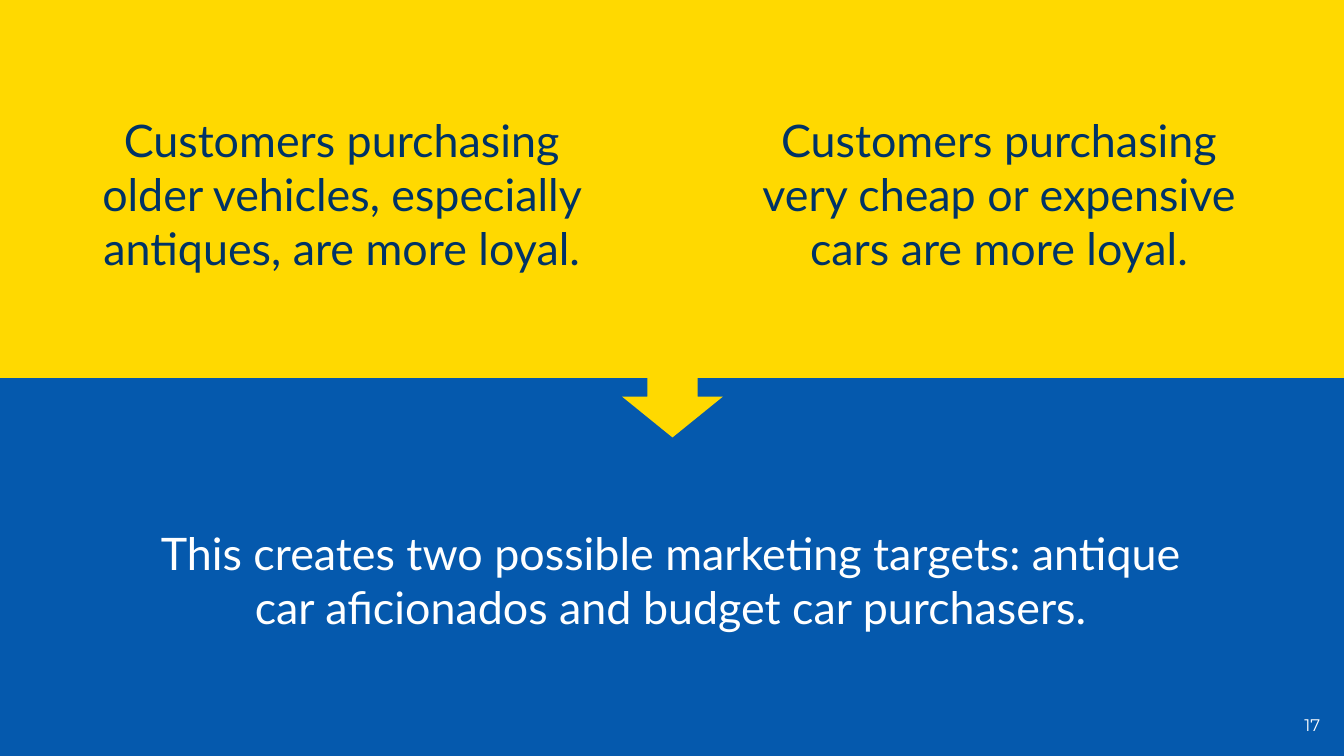
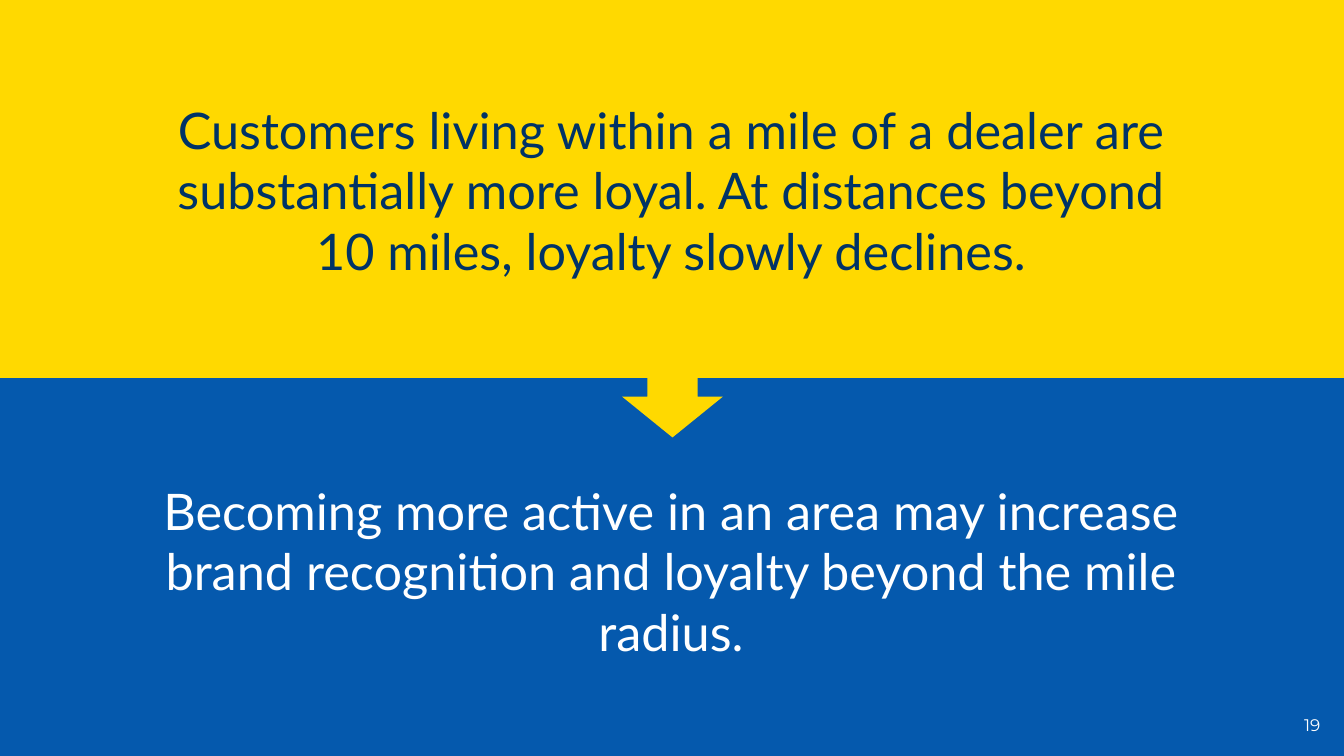
"""Build two slides that lead from customer findings to a marketing conclusion."""
from dataclasses import dataclass

from pptx import Presentation
from pptx.dml.color import RGBColor
from pptx.enum.shapes import MSO_SHAPE
from pptx.enum.text import MSO_ANCHOR, PP_ALIGN
from pptx.slide import Slide
from pptx.util import Inches, Pt


@dataclass(frozen=True)
class Theme:
    yellow: RGBColor = RGBColor(0xFF, 0xD9, 0x00)
    blue: RGBColor = RGBColor(0x05, 0x59, 0xAD)
    navy: RGBColor = RGBColor(0x00, 0x33, 0x66)
    white: RGBColor = RGBColor(0xFF, 0xFF, 0xFF)
    body_font: str = "Lato"
    number_font: str = "Montserrat"
    body_size: int = 32
    large_size: int = 36
    number_size: int = 12


@dataclass(frozen=True)
class Box:
    left: float
    top: float
    width: float
    height: float

    def lengths(self) -> tuple[Inches, Inches, Inches, Inches]:
        return Inches(self.left), Inches(self.top), Inches(self.width), Inches(self.height)


@dataclass(frozen=True)
class Statement:
    text: str
    box: Box
    color: RGBColor


@dataclass(frozen=True)
class Page:
    number: int
    size: int
    statements: tuple[Statement, ...]


THEME = Theme()
SLIDE_WIDTH, SLIDE_HEIGHT = 13.33, 7.5
BAND_HEIGHT = SLIDE_HEIGHT / 2
TOP_BAND = Box(0, 0, SLIDE_WIDTH, BAND_HEIGHT)
BOTTOM_BAND = Box(0, BAND_HEIGHT, SLIDE_WIDTH, BAND_HEIGHT)
ARROW = Box(6.17, 3.53, 1, 0.81)
NUMBER_BOX = Box(12.71, 6.93, 0.61, 0.53)
WIDE_LEFT, WIDE_WIDTH = 1.37, 10.57
HALF_WIDTH, TEXT_HEIGHT = 5.4, 3.6

PAGES = (
    Page(17, THEME.body_size, (
        Statement("Customers purchasing older vehicles, especially antiques, are more loyal.",
                  Box(0.69, 0.12, HALF_WIDTH, TEXT_HEIGHT), THEME.navy),
        Statement("Customers purchasing very cheap or expensive cars are more loyal.",
                  Box(7.21, 0.12, HALF_WIDTH, TEXT_HEIGHT), THEME.navy),
        Statement("This creates two possible marketing targets: antique car aficionados "
                  "and budget car purchasers.",
                  Box(WIDE_LEFT, 3.95, WIDE_WIDTH, TEXT_HEIGHT), THEME.white),
    )),
    Page(19, THEME.large_size, (
        Statement("Customers living within a mile of a dealer are substantially more loyal. "
                  "At distances beyond 10 miles, loyalty slowly declines.",
                  Box(WIDE_LEFT, 0.08, WIDE_WIDTH, TEXT_HEIGHT), THEME.navy),
        Statement("Becoming more active in an area may increase brand recognition "
                  "and loyalty beyond the mile radius.",
                  Box(WIDE_LEFT, 3.86, WIDE_WIDTH, TEXT_HEIGHT), THEME.white),
    )),
)


def add_filled_shape(slide: Slide, kind: MSO_SHAPE, box: Box, color: RGBColor) -> None:
    shape = slide.shapes.add_shape(kind, *box.lengths())
    shape.shadow.inherit = False
    shape.fill.solid()
    shape.fill.fore_color.rgb = color
    shape.line.fill.background()


def add_text(slide: Slide, text: str, box: Box, *, size: int, color: RGBColor,
             font_name: str = THEME.body_font) -> None:
    frame = slide.shapes.add_textbox(*box.lengths()).text_frame
    frame.word_wrap = True
    frame.vertical_anchor = MSO_ANCHOR.MIDDLE
    paragraph = frame.paragraphs[0]
    paragraph.alignment = PP_ALIGN.CENTER
    run = paragraph.add_run()
    run.text = text
    run.font.name = font_name
    run.font.size = Pt(size)
    run.font.color.rgb = color


def draw_page(slide: Slide, page: Page) -> None:
    add_filled_shape(slide, MSO_SHAPE.RECTANGLE, BOTTOM_BAND, THEME.blue)
    add_filled_shape(slide, MSO_SHAPE.RECTANGLE, TOP_BAND, THEME.yellow)
    add_filled_shape(slide, MSO_SHAPE.DOWN_ARROW, ARROW, THEME.yellow)
    for statement in page.statements:
        add_text(slide, statement.text, statement.box, size=page.size, color=statement.color)
    add_text(slide, str(page.number), NUMBER_BOX, size=THEME.number_size,
             color=THEME.white, font_name=THEME.number_font)


def main() -> None:
    presentation = Presentation()
    presentation.slide_width = Inches(SLIDE_WIDTH)
    presentation.slide_height = Inches(SLIDE_HEIGHT)
    blank_layout = presentation.slide_layouts[6]
    for page in PAGES:
        draw_page(presentation.slides.add_slide(blank_layout), page)
    presentation.save("out.pptx")


if __name__ == "__main__":
    main()
